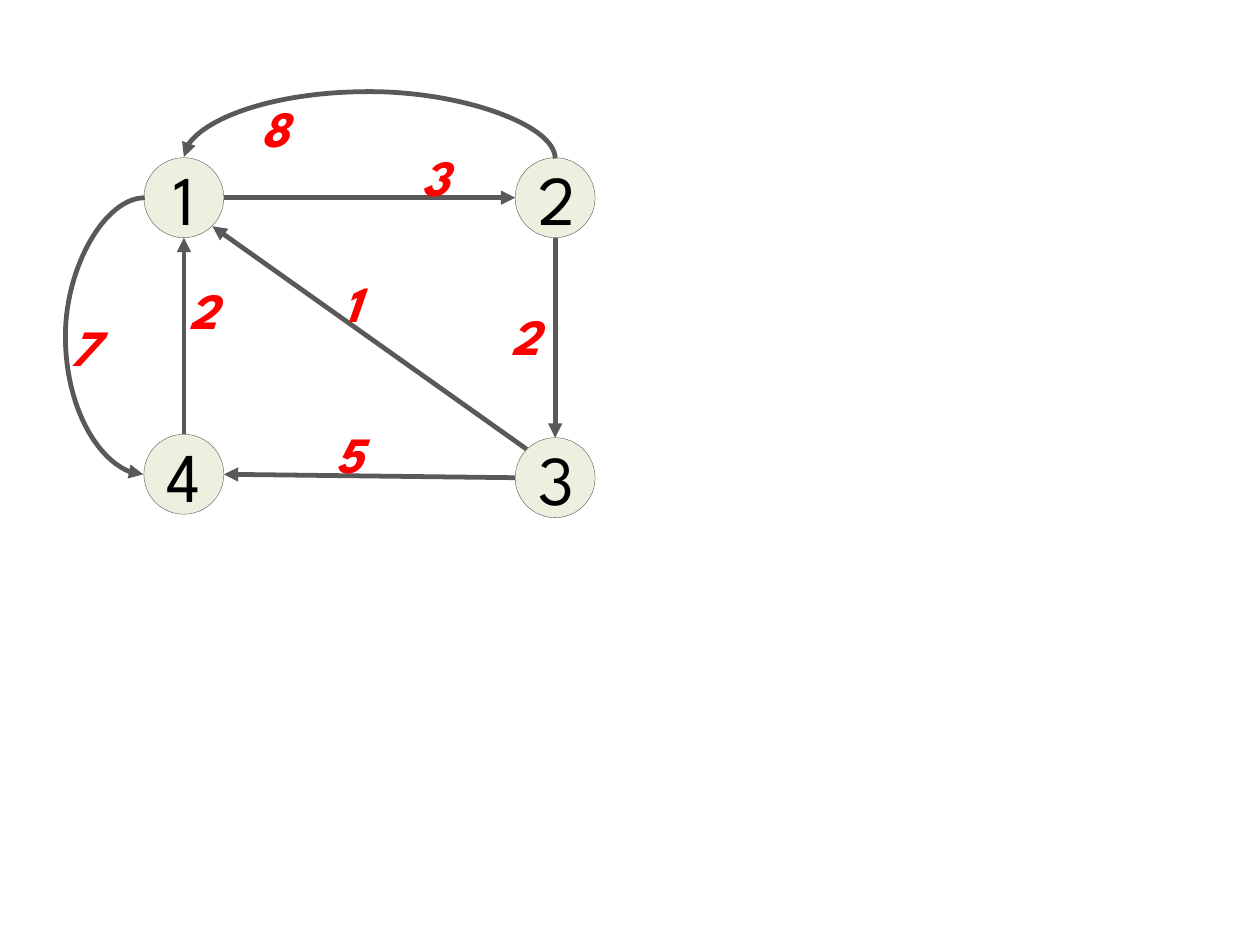
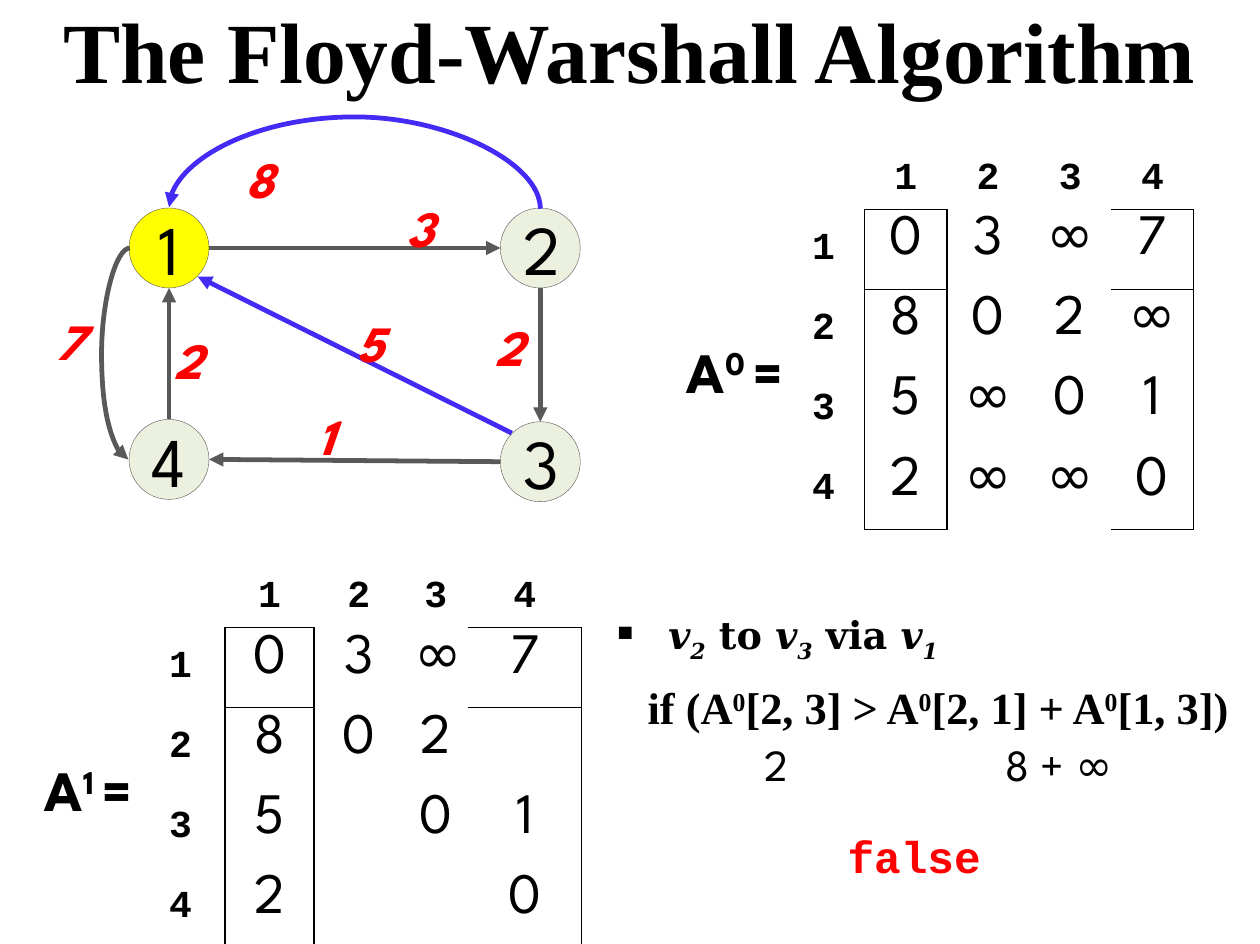
from pptx import Presentation
from pptx.dml.color import RGBColor
from pptx.enum.shapes import MSO_CONNECTOR, MSO_SHAPE
from pptx.enum.text import MSO_ANCHOR, MSO_AUTO_SIZE, PP_ALIGN
from pptx.oxml.ns import qn
from pptx.util import Inches, Pt
from lxml.etree import SubElement

# Shared look
BLACK, RED, GRAY, BLUE = "000000", "FF0000", "595959", "432BF5"
PALE, YELLOW = "EBF1DE", "FFFF00"
SPARTAN, TIMES, COURIER, SERIF = "League Spartan", "Times New Roman", "Courier New", "DejaVu Serif"
NODE = dict(size=Pt(44), name=SPARTAN)
WEIGHT = dict(size=Pt(32), name=SPARTAN, bold=True, italic=True)
TITLE = dict(size=Pt(54), name=TIMES, bold=True)
MATRIX = dict(size=Pt(36), name=SPARTAN, bold=True)
INDEX = dict(size=Pt(24), name=COURIER, bold=True)
ENTRY = dict(size=Pt(36), name=SPARTAN, bold=False)
STEP = dict(size=Pt(24), name=SERIF, bold=True)
TEST = dict(size=Pt(28), name=TIMES, bold=True)
VALUE = dict(size=Pt(28), name=SPARTAN)
RESULT = dict(size=Pt(28), name=COURIER, bold=True)
SUP, SUB = 30000, -25000
RADIUS, DIAG = 0.35, 0.25


def write(p, runs, fmt, color=BLACK, align=None):
    """Fill a paragraph; each run is (text, baseline)."""
    p.alignment = align
    for text, baseline in runs:
        r = p.add_run()
        r.text = text
        for key, value in fmt.items():
            setattr(r.font, key, value)
        r.font.color.rgb = RGBColor.from_string(color)
        if baseline:
            r.font._element.set("baseline", str(baseline))


def add_text(s, box, runs, fmt, color=BLACK, align=None, label=False):
    """Add a text box; a label keeps the usual insets and does not wrap."""
    tf = s.shapes.add_textbox(*map(Inches, box)).text_frame
    tf.word_wrap = not label
    tf.auto_size = MSO_AUTO_SIZE.SHAPE_TO_FIT_TEXT
    if not label:
        tf.margin_left = tf.margin_right = tf.margin_bottom = 0
        tf.margin_top = Inches(0.01)
    p = tf.paragraphs[0]
    write(p, runs, fmt, color, align)
    return p


prs = Presentation()
prs.slide_width, prs.slide_height = Inches(11.03), Inches(8.26)

# Graphs: node centres, arc reaches, edge colours, weights
graphs = [
    dict(nodes={"1": (1.61, 1.73), "4": (1.61, 4.15), "2": (4.86, 1.73), "3": (4.86, 4.18)},
         top_reach=0.59, left_reach=0.7, active=GRAY, first=PALE,
         weights=[("7", 0.52, 2.71), ("2", 4.37, 2.62), ("1", 2.91, 2.33), ("5", 2.84, 3.65),
                  ("3", 3.59, 1.23), ("8", 2.18, 0.8), ("2", 1.55, 2.39)]),
    dict(nodes={"1": (1.48, 2.17), "4": (1.48, 4.02), "2": (4.73, 2.17), "3": (4.73, 4.04)},
         top_reach=0.81, left_reach=0.25, active=BLUE, first=YELLOW,
         weights=[("7", 0.4, 2.66), ("2", 4.23, 2.71), ("1", 2.68, 3.49), ("5", 3.02, 2.68),
                  ("3", 3.46, 1.67), ("8", 2.05, 1.24), ("2", 1.42, 2.83)]),
]

for graph in graphs:
    s = prs.slides.add_slide(prs.slide_layouts[6])
    nodes, active = graph["nodes"], graph["active"]

    # Nodes
    circles = {}
    for name, (x, y) in nodes.items():
        sp = s.shapes.add_shape(MSO_SHAPE.OVAL, Inches(x - RADIUS), Inches(y - RADIUS),
                                Inches(2 * RADIUS), Inches(2 * RADIUS))
        sp.shadow.inherit = False
        sp.fill.solid()
        sp.fill.fore_color.rgb = RGBColor.from_string(graph["first"] if name == "1" else PALE)
        sp.line.color.rgb = RGBColor.from_string(GRAY)
        sp.line.width = Pt(0.25)
        sp.text_frame.vertical_anchor = MSO_ANCHOR.MIDDLE
        write(sp.text_frame.paragraphs[0], [(name, 0)], NODE, align=PP_ALIGN.CENTER)
        circles[name] = sp

    # Straight edges: start node and offset, end node and offset
    edges = []
    for a, (ax, ay), b, (bx, by), color in [
            ("3", (-DIAG, -DIAG), "1", (DIAG, DIAG), active),
            ("2", (0, RADIUS), "3", (0, -RADIUS), GRAY),
            ("3", (-RADIUS, 0), "4", (RADIUS, 0), GRAY),
            ("1", (RADIUS, 0), "2", (-RADIUS, 0), GRAY),
            ("4", (0, -RADIUS), "1", (0, RADIUS), GRAY)]:
        ends = nodes[a][0] + ax, nodes[a][1] + ay, nodes[b][0] + bx, nodes[b][1] + by
        edges.append((s.shapes.add_connector(MSO_CONNECTOR.STRAIGHT, *map(Inches, ends)), color))

    # Curved edges: a thin frame, turned, whose adjustment gives the reach
    (x1, y1), x2, y4 = nodes["1"], nodes["2"][0], nodes["4"][1]
    for a, b, site, turn, cx, cy, length, reach, color in [
            ("2", "1", 0, 270, (x1 + x2) / 2, y1 - RADIUS, x2 - x1, graph["top_reach"], active),
            ("1", "4", 2, 180, x1 - RADIUS, (y1 + y4) / 2, y4 - y1, graph["left_reach"], GRAY)]:
        arc = s.shapes.add_connector(MSO_CONNECTOR.CURVE, 0, 0, 0, 0)
        arc.begin_connect(circles[a], site)
        arc.end_connect(circles[b], site)
        xfrm = arc._element.spPr.find(qn("a:xfrm"))
        xfrm.attrib.clear()
        xfrm.set("rot", str(turn * 60000))
        xfrm.set("flipV", "1")
        arc.width, arc.height = Pt(1), Inches(length)
        arc.left, arc.top = Inches(cx) - Pt(0.5), Inches(cy - length / 2)
        guides = arc._element.spPr.find(qn("a:prstGeom")).find(qn("a:avLst"))
        SubElement(guides, qn("a:gd"), name="adj1", fmla=f"val {round(reach * 72 * 100000)}")
        edges.append((arc, color))

    for edge, color in edges:
        edge.line.color.rgb = RGBColor.from_string(color)
        edge.line.width = Pt(3)
        SubElement(edge.line._get_or_add_ln(), qn("a:tailEnd"), type="triangle")
        SubElement(edge._element.spPr, qn("a:effectLst"))

    # Weights
    for text, x, y in graph["weights"]:
        add_text(s, (x, y, 0.47, 0.64), [(text, 0)], WEIGHT, RED, label=True)

# Title of the second slide
add_text(s, (0.32, -0.03, 10.38, 0.92), [("The Floyd-Warshall Algorithm", 0)], TITLE,
         align=PP_ALIGN.CENTER)

# Matrices with bracket borders
matrices = [
    ("0", 5.82, 2.93, 6.85, 1.33, [0.72] * 5,
     ["03∞7", "802∞", "5∞01", "2∞∞0"]),
    ("1", 0.16, 6.59, 1.19, 4.99, [0.78, 0.78, 0.78, 0.57, 0.99],
     ["03∞7", "802 ", "5 01", "2  0"]),
]
for power, name_x, name_y, x, y, widths, entries in matrices:
    frame = s.shapes.add_table(5, 5, Inches(x), Inches(y), Inches(sum(widths)), Inches(3.3))
    table = frame.table
    table.first_row = table.horz_banding = False
    table._tbl.tblPr.find(qn("a:tableStyleId")).text = "{2D5ABB26-0587-4C30-8999-92F81FD0307C}"
    for col, width in zip(table.columns, widths):
        col.width = Inches(width)
    for i, row in enumerate(table.rows):
        row.height = Inches(0.7 if i else 0.5)
    for i, line in enumerate([" 1234"] + [f"{n}{e}" for n, e in enumerate(entries, 1)]):
        for j, text in enumerate(line):
            cell = table.cell(i, j)
            outer = j in (1, 4)
            sides = {"a:lnL": i and j == 1, "a:lnR": i and j == 4,
                     "a:lnT": i == 1 and outer, "a:lnB": i == 4 and outer}
            for tag, shown in sides.items():
                if shown:
                    ln = SubElement(cell._tc.get_or_add_tcPr(), qn(tag), w=str(Pt(1)))
                    SubElement(SubElement(ln, qn("a:solidFill")), qn("a:srgbClr"), val=BLACK)
            cell.fill.background()
            if i and j == 0:
                cell.vertical_anchor = MSO_ANCHOR.MIDDLE
            if text.strip():
                write(cell.text_frame.paragraphs[0], [(text, 0)], ENTRY if i and j else INDEX,
                      align=PP_ALIGN.CENTER)
    add_text(s, (name_x, name_y, 1.23, 0.62), [("A", 0), (power + " ", SUP), ("=", 0)], MATRIX,
             align=PP_ALIGN.CENTER)

# Worked step
add_text(s, (5.67, 5.94, 5.5, 0.49),
         [("if (A", 0), ("0", SUP), ("[2, 3] > A", 0), ("0", SUP), ("[2, 1] + A", 0),
          ("0", SUP), ("[1, 3])", 0)], TEST)
p = add_text(s, (5.34, 5.34, 5.31, 0.42),
             [("v", 0), ("2", SUB), (" to ", 0), ("v", 0), ("3", SUB), (" via ", 0),
              ("v", 0), ("1", SUB)], STEP)
for r in p.runs:
    r.font.italic = r.text.strip() not in ("to", "via")
pPr = p._p.get_or_add_pPr()
pPr.set("marL", str(Inches(0.51)))
pPr.set("indent", str(-Inches(0.5)))
SubElement(pPr, qn("a:buChar"), char="▪")
add_text(s, (8.69, 6.44, 1.16, 0.49), [("8 + ∞", 0)], VALUE, align=PP_ALIGN.CENTER)
add_text(s, (7.42, 7.24, 2, 0.49), [("false", 0)], RESULT, RED)
add_text(s, (6.69, 6.44, 0.33, 0.49), [("2", 0)], VALUE)

prs.save("out.pptx")
